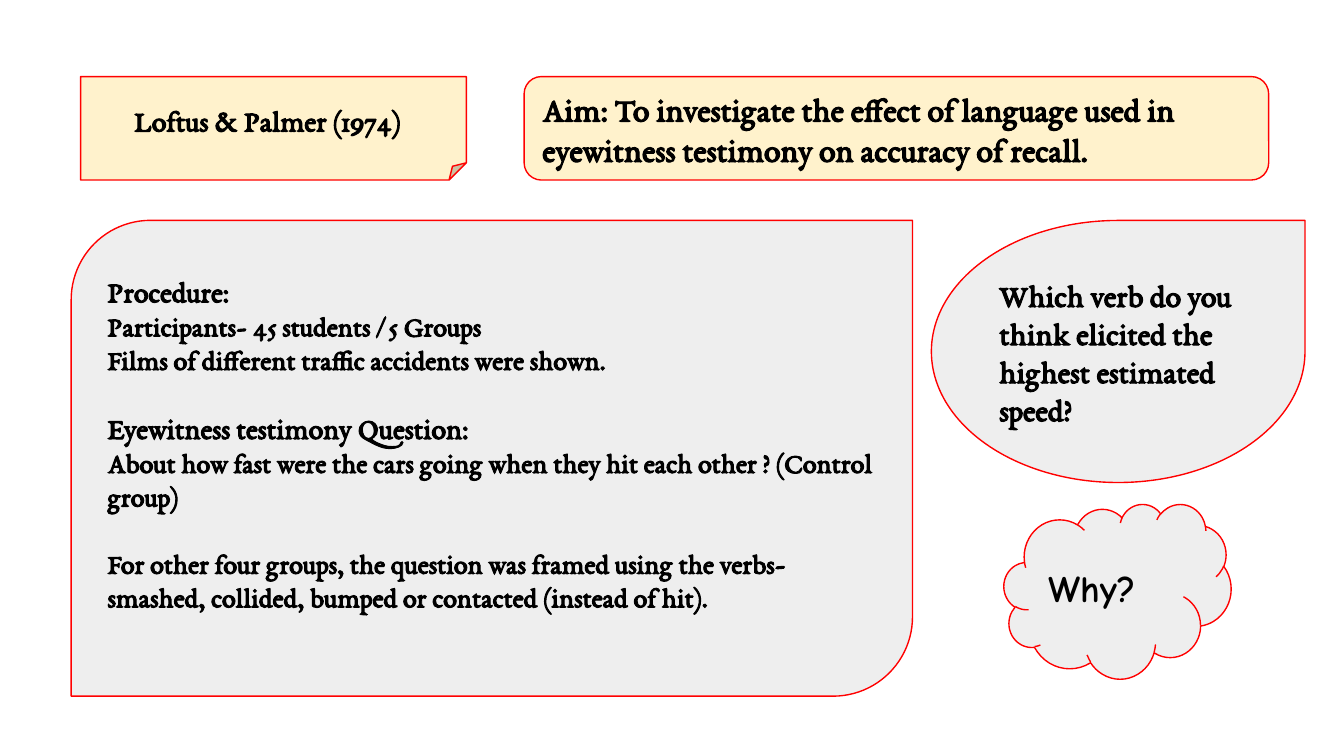
from dataclasses import dataclass

from pptx import Presentation
from pptx.dml.color import RGBColor
from pptx.enum import shapes, text
from pptx.util import Inches, Pt

SHAPE = shapes.MSO_SHAPE


@dataclass(frozen=True)
class Theme:
    serif: str = "EB Garamond"
    casual: str = "Comic Neue"
    ink: RGBColor = RGBColor(0, 0, 0)
    border: RGBColor = RGBColor(0xFF, 0, 0)
    cream: RGBColor = RGBColor(0xFF, 0xF2, 0xCC)
    grey: RGBColor = RGBColor(0xEE, 0xEE, 0xEE)
    border_width: float = 0.75
    body: int = 15
    heading: int = 16
    prompt: int = 17
    aim: int = 18
    why: int = 20
    section_gap: int = 18


class StudySlide:
    def __init__(self, s, theme):
        self.s = s
        self.theme = theme

    def card(self, kind, box, fill, paragraphs, font=None, left=0.1, bottom=0.1):
        """Add an outlined shape holding (text, size, space before) paragraphs."""
        sp = self.s.shapes.add_shape(kind, *map(Inches, box))
        sp.shadow.inherit = False
        sp.fill.solid()
        sp.fill.fore_color.rgb = fill
        sp.line.color.rgb = self.theme.border
        sp.line.width = Pt(self.theme.border_width)
        tf = sp.text_frame
        tf.word_wrap = True
        tf.vertical_anchor = text.MSO_ANCHOR.MIDDLE
        tf.margin_top = tf.margin_right = Inches(0.1)
        tf.margin_left, tf.margin_bottom = Inches(left), Inches(bottom)
        for i, (words, size, before) in enumerate(paragraphs):
            p = tf.add_paragraph() if i else tf.paragraphs[0]
            p.alignment = text.PP_ALIGN.LEFT
            p.space_before = Pt(before)
            r = p.add_run()
            r.text = words
            r.font.name = font or self.theme.serif
            r.font.size = Pt(size)
            r.font.bold = True
            r.font.color.rgb = self.theme.ink


def main():
    prs = Presentation()
    prs.slide_width = Inches(10)
    prs.slide_height = prs.slide_width * 9 // 16
    t = Theme()
    slide = StudySlide(prs.slides.add_slide(prs.slide_layouts[6]), t)

    top, header_height, content_top = 0.57, 0.77, 1.64
    slide.card(SHAPE.ROUNDED_RECTANGLE, (3.9, top, 5.54, header_height), t.cream, [
        ("Aim: To investigate the effect of language used in eyewitness testimony "
         "on accuracy of recall.", t.aim, 0)])
    slide.card(SHAPE.ROUND_2_DIAG_RECTANGLE, (0.53, content_top, 6.26, 3.54), t.grey, [
        ("Procedure:", t.heading, 0),
        ("Participants- 45 students / 5 Groups", t.body, 0),
        ("Films of different traffic accidents were shown.", t.body, 0),
        ("Eyewitness testimony Question:", t.heading, t.section_gap),
        ("About how fast were the cars going when they hit each other ? "
         "(Control group)", t.body, 0),
        ("For other four groups, the question was framed using the verbs- smashed, "
         "collided, bumped or contacted (instead of hit).", t.body, t.section_gap),
    ], bottom=0.33)
    slide.card(SHAPE.TEAR, (6.93, content_top, 2.78, 1.95), t.grey, [
        ("Which verb do you think elicited the highest estimated speed?", t.prompt, 0)])
    slide.card(SHAPE.CLOUD, (7.47, 3.75, 1.69, 1.3), t.grey,
               [("Why?", t.why, 0)], font=t.casual)
    slide.card(SHAPE.FOLDED_CORNER, (0.6, top, 2.87, header_height), t.cream,
               [("Loftus & Palmer (1974)", t.heading, 0)], left=0.4)
    prs.save("out.pptx")


if __name__ == "__main__":
    main()
